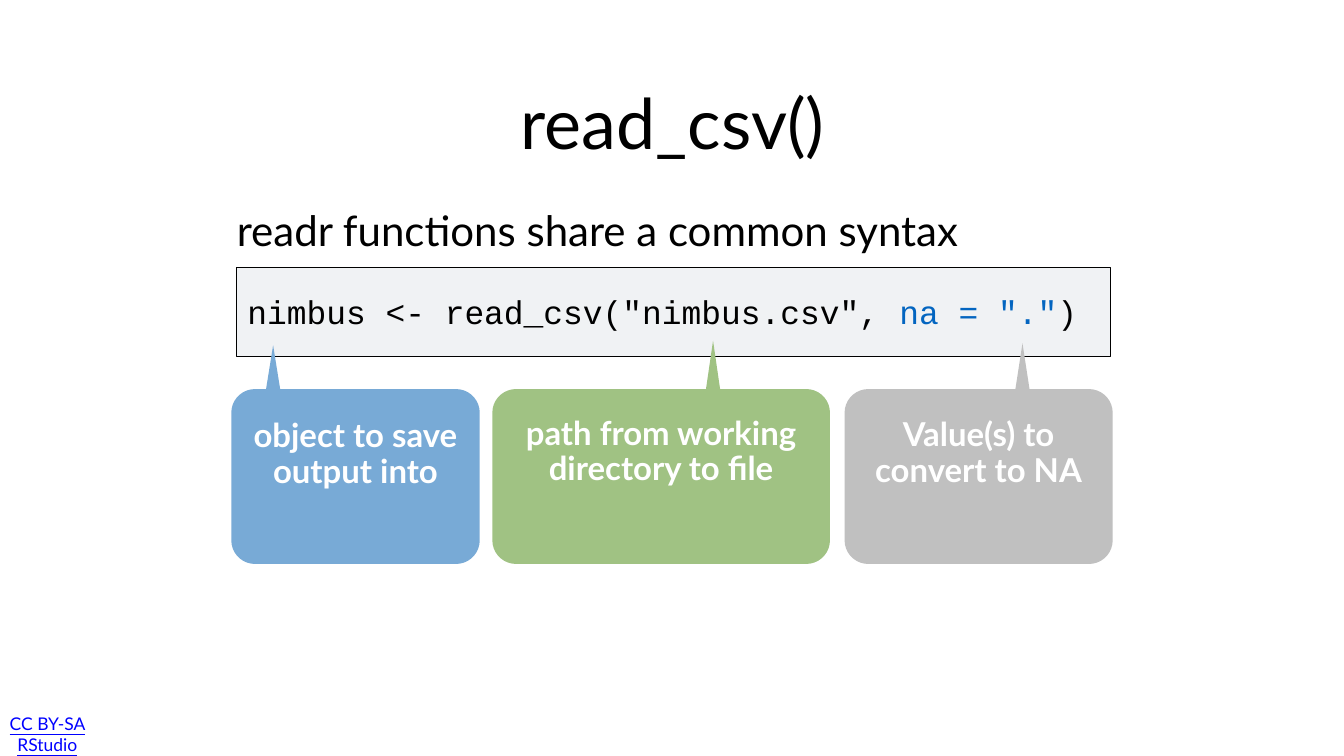
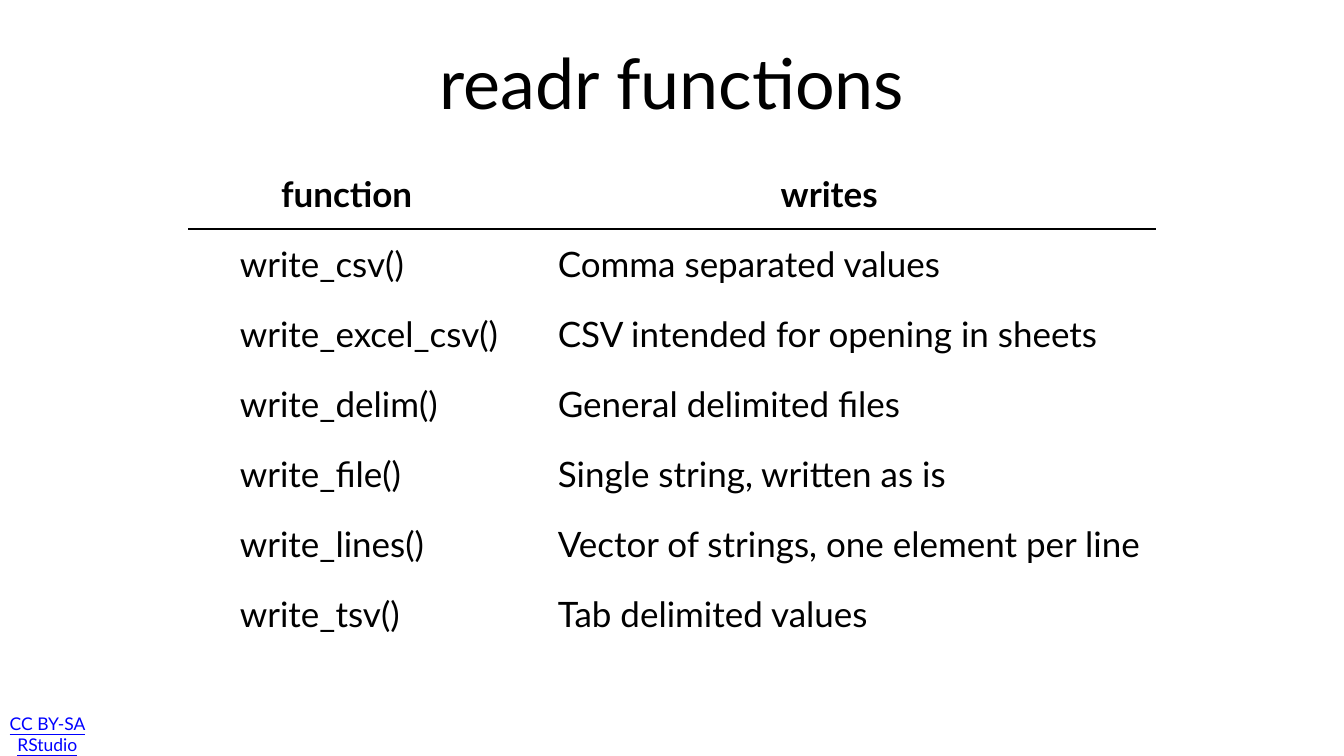
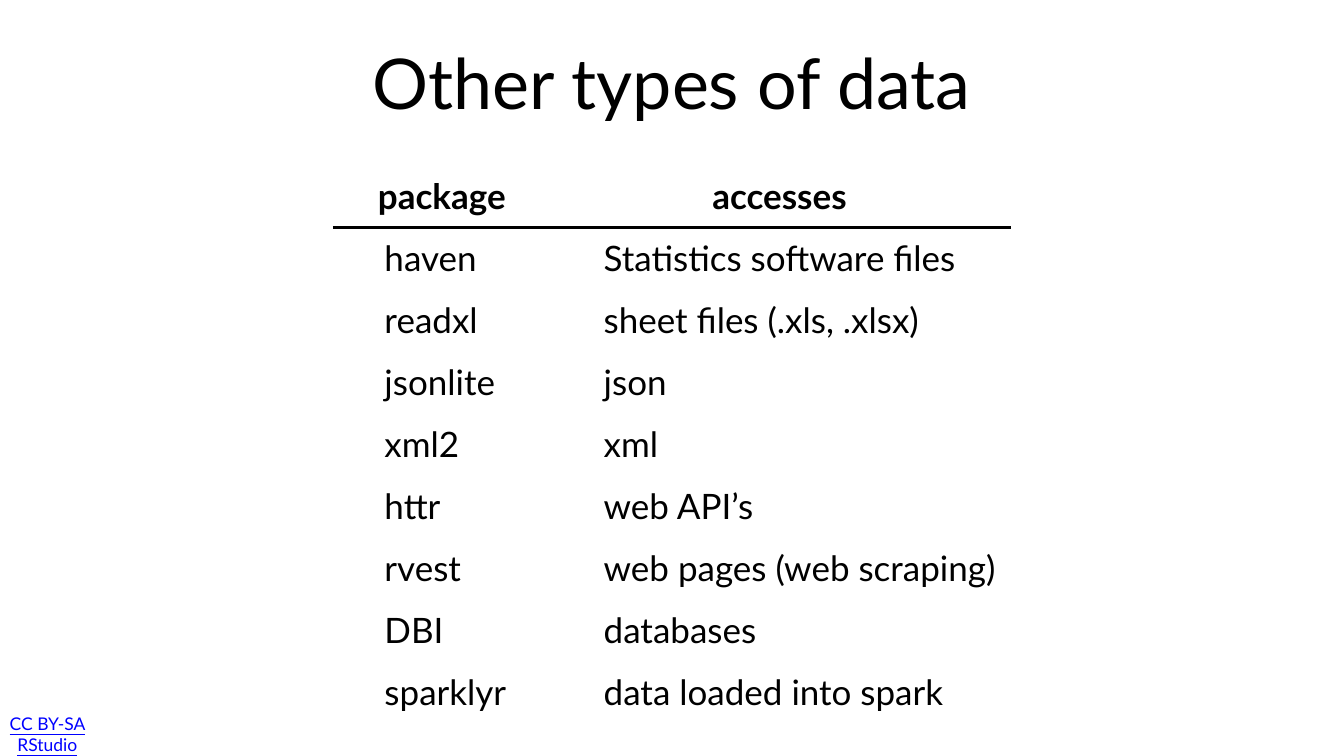
from dataclasses import dataclass
from math import cos, radians, sin

from lxml import etree
from pptx import Presentation
from pptx.dml.color import RGBColor
from pptx.enum.shapes import MSO_SHAPE
from pptx.enum.text import MSO_ANCHOR, PP_ALIGN
from pptx.oxml.ns import qn
from pptx.util import Inches, Pt

RECT = MSO_SHAPE.RECTANGLE
MIDDLE, TOP = MSO_ANCHOR.MIDDLE, MSO_ANCHOR.TOP
LEFT, CENTER = PP_ALIGN.LEFT, PP_ALIGN.CENTER

# Shared colours and text styles
BLACK, WHITE = "000000", "FFFFFF"
LINK, ACCENT, PANEL = "0000FF", "0365C0", "F0F2F4"
TITLE = {"name": "Lato", "size": Pt(100)}
LEAD = {"name": "Lato", "size": Pt(60)}
CODE = {"name": "Courier New", "size": Pt(47)}
LABEL = {"name": "Lato", "size": Pt(47), "bold": True}
HEAD = {"name": "Lato", "size": Pt(50), "bold": True}
BODY = {"name": "Lato", "size": Pt(50), "bold": False}
FOOT = {"name": "Lato", "size": Pt(25), "underline": True}

# Shared measures, in inches
PAD = 0.06
INDENTS = (0.9, 0.97)
BASE_TOP, BASE_END, RADIUS, HALF = 7.72, 11.19, 0.47, 0.14


@dataclass
class Box:
    x: float
    y: float
    w: float
    h: float

    def emu(self) -> list:
        return [Inches(v) for v in (self.x, self.y, self.w, self.h)]


@dataclass
class Callout:
    text: str
    color: str
    left: float
    right: float
    tip_x: float
    tip_y: float


@dataclass
class Grid:
    title: str
    x: float
    y: float
    widths: tuple
    row_h: float
    rows: list


CALLOUTS = [
    Callout("path from working directory to file", "A0C283", 9.77, 16.47, 14.15, 6.76),
    Callout("object to save output into", "78AAD6", 4.59, 9.52, 5.42, 6.85),
    Callout("Value(s) to convert to NA", "C0C0C0", 16.76, 22.08, 20.29, 6.81),
]

GRIDS = [
    Grid("readr functions", 3.76, 3.15, (6.24, 12.91), 1.39, [
        ("function", "writes"),
        ("write_csv()", "Comma separated values"),
        ("write_excel_csv()", "CSV intended for opening in sheets"),
        ("write_delim()", "General delimited files"),
        ("write_file()", "Single string, written as is"),
        ("write_lines()", "Vector of strings, one element per line"),
        ("write_tsv()", "Tab delimited values"),
        ("", ""),
    ]),
    Grid("Other types of data", 6.63, 3.28, (4.28, 9.12), 1.23, [
        ("package", "accesses"),
        ("haven", "Statistics software files"),
        ("readxl", "sheet files (.xls, .xlsx)"),
        ("jsonlite", "json"),
        ("xml2", "xml"),
        ("httr", "web API’s"),
        ("rvest", "web pages (web scraping)"),
        ("DBI", "databases"),
        ("sparklyr", "data loaded into spark"),
    ]),
]


def rgb(color: str) -> RGBColor:
    return RGBColor.from_string(color)


def apply(item, values: dict) -> None:
    for name, value in values.items():
        setattr(item, name, value)


def add_run(para, text: str, style: dict, color: str) -> None:
    run = para.add_run()
    run.text = text
    apply(run.font, style)
    run.font.color.rgb = rgb(color)


def set_frame(frame, pad: float, anchor=MIDDLE) -> None:
    sides = ("left", "right", "top", "bottom")
    apply(frame, {f"margin_{side}": Inches(pad) for side in sides})
    apply(frame, {"word_wrap": True, "vertical_anchor": anchor})


def add_text(slide, box: Box, runs: list, style: dict, align=LEFT, anchor=MIDDLE):
    frame = slide.shapes.add_textbox(*box.emu()).text_frame
    set_frame(frame, PAD, anchor)
    para = frame.paragraphs[0]
    para.alignment = align
    for text, color in runs:
        add_run(para, text, style, color)
    return frame


def add_slide(deck, title: str, x: float, y: float):
    """Blank slide with the shared footer and title."""
    slide = deck.slides.add_slide(deck.slide_layouts[6])
    foot = add_text(slide, Box(0.12, 14.26, 2.66, 0.6),
                    [("CC BY-SA RStudio", LINK)], FOOT, CENTER)
    # A wide right margin sets the licence on two lines
    apply(foot, {"margin_left": Inches(0.05), "margin_right": Inches(1.07)})
    add_text(slide, Box(x, y, 17.9, 2.62), [(title, BLACK)], TITLE, CENTER)
    return slide


def outline(call: Callout) -> list:
    """Points of a rounded box with a pointer on its top edge."""
    west, east = call.left + RADIUS, call.right - RADIUS
    north, south = BASE_TOP + RADIUS, BASE_END - RADIUS
    points = [(call.tip_x, call.tip_y), (call.tip_x - HALF, BASE_TOP)]
    corners = ((west, north, 270), (west, south, 180),
               (east, south, 90), (east, north, 0))
    for x, y, start in corners:
        for step in range(0, 91, 10):
            turn = radians(start - step)
            points.append((x + RADIUS * cos(turn), y + RADIUS * sin(turn)))
    points.append((call.tip_x + HALF, BASE_TOP))
    return [(Inches(x), Inches(y)) for x, y in points]


def add_callout(slide, call: Callout) -> None:
    first, *rest = outline(call)
    pen = slide.shapes.build_freeform(*first)
    pen.add_line_segments(rest, close=True)
    shape = pen.convert_to_shape()
    shape.shadow.inherit = False
    shape.fill.solid()
    shape.fill.fore_color.rgb = rgb(call.color)
    shape.line.fill.background()
    set_frame(shape.text_frame, 0.08)
    para = shape.text_frame.paragraphs[0]
    apply(para, {"alignment": CENTER, "line_spacing": 0.9})
    add_run(para, call.text, LABEL, WHITE)


def set_borders(cell, top: str, bottom: str) -> None:
    props = cell._tc.get_or_add_tcPr()
    sides = {"lnL": WHITE, "lnR": WHITE, "lnT": top, "lnB": bottom}
    for spot, (tag, color) in enumerate(sides.items()):
        line = etree.Element(qn(f"a:{tag}"), w=str(Pt(4)))
        fill = etree.SubElement(line, qn("a:solidFill"))
        etree.SubElement(fill, qn("a:srgbClr"), val=color)
        props.insert(spot, line)


def add_grid(slide, grid: Grid) -> None:
    count = len(grid.rows)
    box = Box(grid.x, grid.y, sum(grid.widths), grid.row_h * count)
    table = slide.shapes.add_table(count, len(grid.widths), *box.emu()).table
    apply(table, {"first_row": False, "horz_banding": False})
    for col, width in zip(table.columns, grid.widths):
        col.width = Inches(width)
    for r, row in enumerate(grid.rows):
        table.rows[r].height = Inches(grid.row_h)
        for c, text in enumerate(row):
            cell = table.cell(r, c)
            cell.fill.background()
            set_borders(cell, BLACK if r == 1 else WHITE, BLACK if r == 0 else WHITE)
            set_frame(cell.text_frame, PAD)
            cell.vertical_anchor = MIDDLE
            para = cell.text_frame.paragraphs[0]
            if r == 0:
                para.alignment = CENTER
            else:
                para._p.get_or_add_pPr().set("indent", str(Inches(INDENTS[c])))
            if text:
                add_run(para, text, BODY if r else HEAD, BLACK)


def add_syntax(deck) -> None:
    slide = add_slide(deck, "read_csv()", 4.4, 1.1)
    add_text(slide, Box(4.64, 3.3, 15.03, 2.5),
             [("readr functions share a common syntax", BLACK)], LEAD)
    # Code panel
    panel = slide.shapes.add_shape(RECT, *Box(4.69, 5.31, 17.34, 1.77).emu())
    panel.shadow.inherit = False
    panel.fill.solid()
    panel.fill.fore_color.rgb = rgb(PANEL)
    panel.line.color.rgb = rgb(BLACK)
    panel.line.width = Pt(1)
    code = [('nimbus <- read_csv("nimbus.csv", ', BLACK),
            ('na = "."', ACCENT), (")", BLACK)]
    add_text(slide, Box(4.85, 5.72, 17.03, 1.56), code, CODE, anchor=TOP)
    # Argument notes
    for call in CALLOUTS:
        add_callout(slide, call)


def main() -> None:
    deck = Presentation()
    apply(deck, {"slide_width": Inches(26.67), "slide_height": Inches(15)})
    add_syntax(deck)
    for grid in GRIDS:
        add_grid(add_slide(deck, grid.title, 4.38, 0.3), grid)
    deck.save("out.pptx")


if __name__ == "__main__":
    main()
